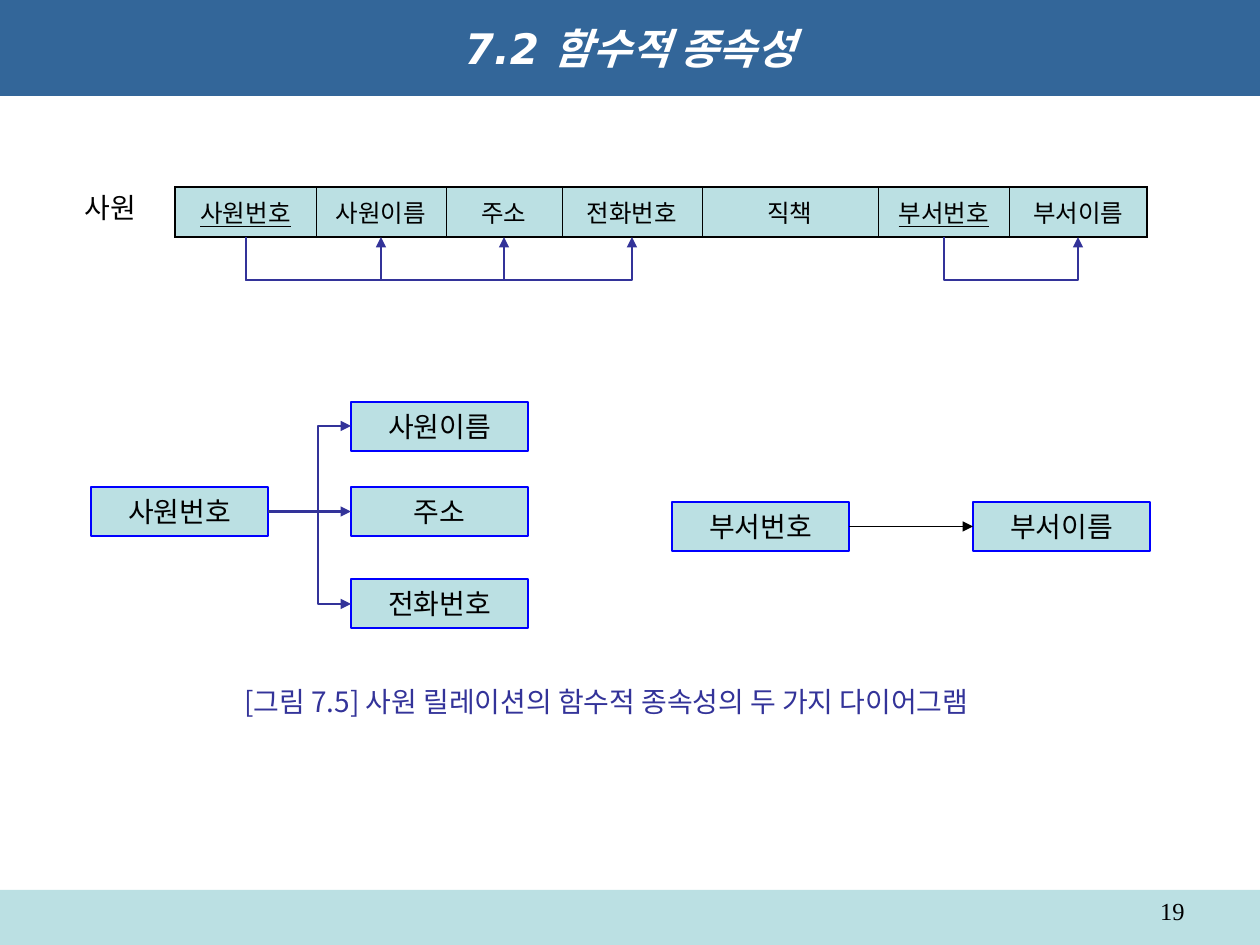
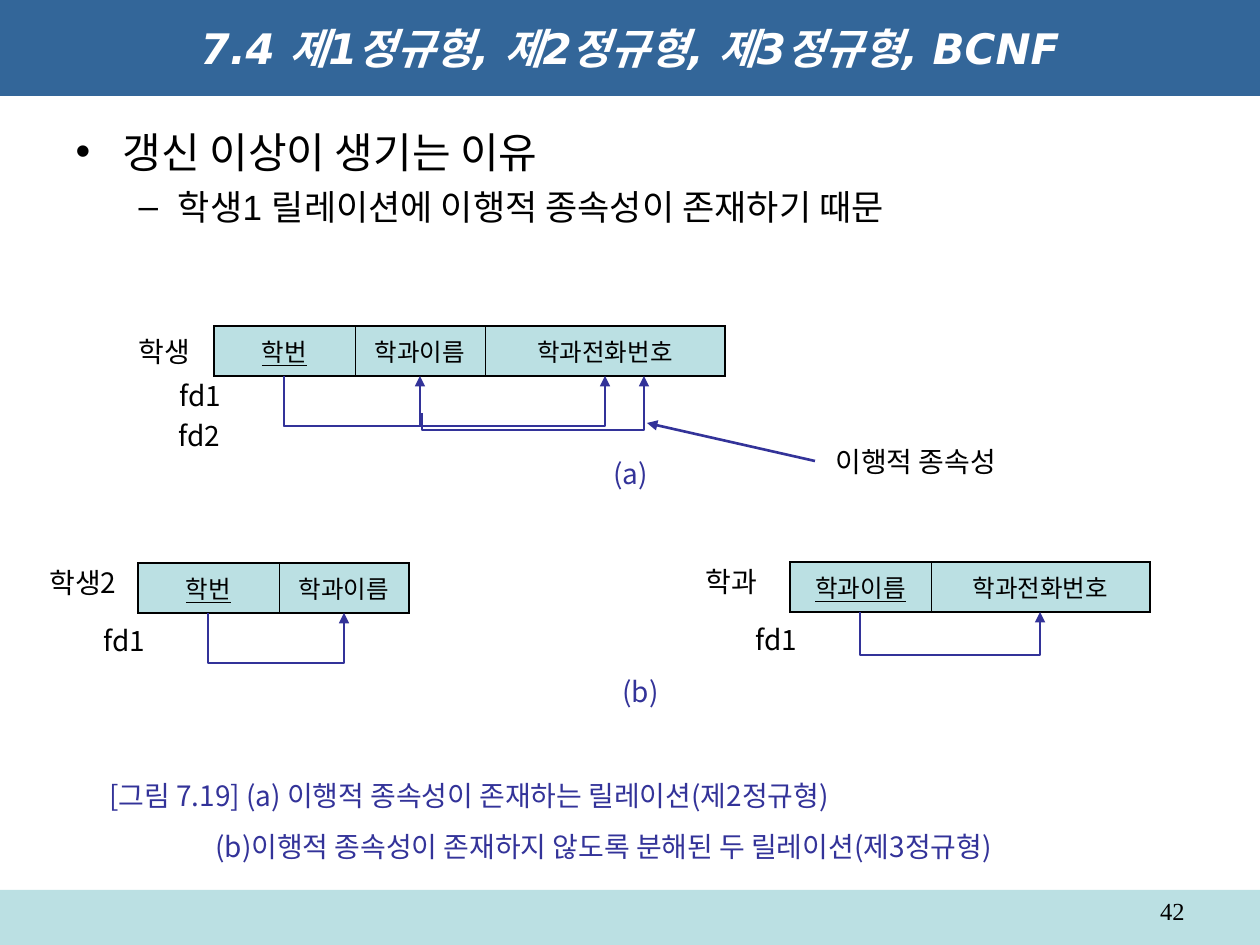
import itertools

import pptx
import pptx.dml.color
import pptx.enum.shapes
import pptx.enum.text
import pptx.oxml
import pptx.oxml.ns
import pptx.util

RGBColor = pptx.dml.color.RGBColor
ALIGN = pptx.enum.text.PP_ALIGN
ANCHOR = pptx.enum.text.MSO_ANCHOR
RECTANGLE = pptx.enum.shapes.MSO_SHAPE.RECTANGLE
STRAIGHT = pptx.enum.shapes.MSO_CONNECTOR.STRAIGHT

TITLE_BLUE = RGBColor(0x33, 0x66, 0x99)
PALE_TEAL = RGBColor(0xBB, 0xE0, 0xE3)
NODE_BLUE = RGBColor(0x00, 0x00, 0xFF)
ARROW_BLUE = RGBColor(0x33, 0x33, 0x99)
BLACK = RGBColor(0, 0, 0)
WHITE = RGBColor(0xFF, 0xFF, 0xFF)

LABEL_FONT = "Noto Sans CJK JP"
CAPTION_FONT = "Noto Sans CJK KR"

EMU_PER_PX = 914400 / 126
SLIDE_WIDTH, SLIDE_HEIGHT = 1260, 945
TITLE_HEIGHT = 96
FOOTER_TOP = 890
LABEL_HEIGHT = 47
ROW_HEIGHT = 50
NODE_WIDTH, NODE_HEIGHT = 177, 49
OUTER_BORDER, INNER_BORDER = 1.08, 0.45


def px(length):
    return pptx.util.Emu(round(length * EMU_PER_PX))


def box(left, top, width, height):
    return px(left), px(top), px(width), px(height)


def set_font(paragraph, name, size, color=BLACK):
    font = paragraph.font
    font.name = name
    font.size = pptx.util.Pt(size)
    font.color.rgb = color
    return font


def add_text(slide, lines, left, top, width, height=LABEL_HEIGHT,
             name=LABEL_FONT, color=BLACK):
    """Add a text box with one paragraph per line, centred vertically."""
    frame = slide.shapes.add_textbox(*box(left, top, width, height)).text_frame
    frame.word_wrap = True
    frame.vertical_anchor = ANCHOR.MIDDLE
    frame.text = "\n".join(lines)
    for index, paragraph in enumerate(frame.paragraphs):
        if index:
            paragraph.space_before = pptx.util.Pt(10)
        set_font(paragraph, name, 16, color)
    return frame


def add_caption(slide, lines, left, top, width, height=LABEL_HEIGHT):
    return add_text(slide, lines, left, top, width, height,
                    CAPTION_FONT, ARROW_BLUE)


def style_arrow(shape, color=ARROW_BLUE, width=1.5, ends=("tailEnd",)):
    shape.line.color.rgb = color
    shape.line.width = pptx.util.Pt(width)
    line = shape.element.spPr.get_or_add_ln()
    for end in ends:
        pptx.oxml.ns.qn("a:" + end)
        line.append(pptx.oxml.parse_xml(
            f'<a:{end} {pptx.oxml.ns.nsdecls("a")} type="triangle"/>'))


def add_bent_arrow(slide, points, ends=("tailEnd",)):
    builder = slide.shapes.build_freeform(*points[0], scale=EMU_PER_PX)
    builder.add_line_segments(points[1:], close=False)
    arrow = builder.convert_to_shape()
    arrow.fill.background()
    arrow.shadow.inherit = False
    style_arrow(arrow, ends=ends)


def add_straight_arrow(slide, start=(0, 0), end=(0, 0), nodes=None,
                       color=ARROW_BLUE, width=1.5):
    """Draw from start to end, or from the first node to the second."""
    arrow = slide.shapes.add_connector(
        STRAIGHT, *(px(value) for value in (*start, *end)))
    if nodes:
        arrow.begin_connect(nodes[0], 3)
        arrow.end_connect(nodes[1], 1)
    style_arrow(arrow, color, width)
    arrow.element.spPr.append(pptx.oxml.parse_xml(
        f'<a:effectLst {pptx.oxml.ns.nsdecls("a")}/>'))


def set_border(cell, side, width):
    properties = cell._tc.get_or_add_tcPr()
    properties.append(pptx.oxml.parse_xml(
        f'<a:ln{side} {pptx.oxml.ns.nsdecls("a")} w="{pptx.util.Pt(width)}">'
        f'<a:solidFill><a:srgbClr val="{BLACK}"/></a:solidFill></a:ln{side}>'))


def add_relation(slide, left, top, columns, keys, labels):
    """Draw a one-row relation and its labels; return column centres."""
    names, widths = zip(*columns)
    table = slide.shapes.add_table(
        1, len(columns), *box(left, top, sum(widths), ROW_HEIGHT)).table
    table.first_row = table.horz_banding = False
    table.rows[0].height = px(ROW_HEIGHT)
    last = len(columns) - 1
    for index, (name, width) in enumerate(columns):
        table.columns[index].width = px(width)
        cell = table.cell(0, index)
        set_border(cell, "L", INNER_BORDER if index else OUTER_BORDER)
        set_border(cell, "R", INNER_BORDER if index < last else OUTER_BORDER)
        set_border(cell, "T", OUTER_BORDER)
        set_border(cell, "B", OUTER_BORDER)
        cell.fill.solid()
        cell.fill.fore_color.rgb = PALE_TEAL
        cell.vertical_anchor = ANCHOR.MIDDLE
        cell.text = name
        paragraph = cell.text_frame.paragraphs[0]
        paragraph.alignment = ALIGN.CENTER
        set_font(paragraph, "Arial", 14).underline = index in keys
    for text, dx, dy in labels:
        add_text(slide, [text], left + dx, top + dy, 105)
    edges = itertools.accumulate(widths, initial=left)
    return [edge + width / 2 for edge, width in zip(edges, widths)]


def add_dependencies(slide, source, targets, top, drop):
    """Lead an arrow below the relation from the source to each target."""
    for target in targets:
        add_bent_arrow(slide, [(source, top), (source, top + drop),
                               (target, top + drop), (target, top)])


def add_node(slide, text, left, top):
    node = slide.shapes.add_shape(
        RECTANGLE, *box(left, top, NODE_WIDTH, NODE_HEIGHT))
    node.shadow.inherit = False
    node.fill.solid()
    node.fill.fore_color.rgb = PALE_TEAL
    node.line.color.rgb = NODE_BLUE
    node.line.width = pptx.util.Pt(1.5)
    frame = node.text_frame
    frame.vertical_anchor = ANCHOR.MIDDLE
    frame.text = text
    frame.paragraphs[0].alignment = ALIGN.CENTER
    set_font(frame.paragraphs[0], LABEL_FONT, 16)
    return node


def add_framed_slide(presentation, layout, title, number):
    """Add a slide with its title band and page number."""
    slide = presentation.slides.add_slide(presentation.slide_layouts[layout])
    heading = slide.shapes.title
    heading.left, heading.top, heading.width, heading.height = box(
        0, 0, SLIDE_WIDTH, TITLE_HEIGHT)
    heading.fill.solid()
    heading.fill.fore_color.rgb = TITLE_BLUE
    heading.text_frame.text = title
    heading.text_frame.vertical_anchor = ANCHOR.MIDDLE
    paragraph = heading.text_frame.paragraphs[0]
    paragraph.alignment = ALIGN.CENTER
    font = set_font(paragraph, "DejaVu Sans", 24, WHITE)
    font.bold = font.italic = True

    frame = slide.shapes.add_textbox(*box(903, FOOTER_TOP, 294, 36)).text_frame
    frame.word_wrap = True
    frame.text = str(number)
    frame.paragraphs[0].alignment = ALIGN.RIGHT
    set_font(frame.paragraphs[0], "Times New Roman", 14)
    return slide


def move_footer_band_to_master(presentation, slide):
    band = slide.shapes.add_shape(
        RECTANGLE, *box(0, FOOTER_TOP, SLIDE_WIDTH, SLIDE_HEIGHT - FOOTER_TOP))
    band.shadow.inherit = False
    band.fill.solid()
    band.fill.fore_color.rgb = PALE_TEAL
    band.line.fill.background()
    band.element.xpath("p:nvSpPr/p:cNvPr")[0].set("id", "100")
    presentation.slide_master.shapes.element.insert(2, band.element)


def add_dependency_graph(slide, left, top):
    """Link the employee number to the three attributes it determines."""
    source = add_node(slide, "사원번호", left, top + 85)
    names = {"사원이름": 0, "주소": 85, "전화번호": 177}
    targets = [add_node(slide, name, left + 260, top + dy)
               for name, dy in names.items()]
    add_straight_arrow(slide, nodes=(source, targets[1]))
    upper, lower = (top + dy + NODE_HEIGHT / 2 for dy in (0, 177))
    add_bent_arrow(slide, [(left + 260, upper), (left + 227, upper),
                           (left + 227, lower), (left + 260, lower)],
                   ends=("headEnd", "tailEnd"))


def build_dependency_slide(presentation):
    slide = add_framed_slide(presentation, 5, "7.2 함수적 종속성", 19)
    top = 187
    columns = [("사원번호", 141), ("사원이름", 130), ("주소", 116),
               ("전화번호", 140), ("직책", 176), ("부서번호", 132),
               ("부서이름", 137)]
    centres = add_relation(slide, 175, top, columns, (0, 5),
                           [("사원", -103, -3)])
    bottom = top + ROW_HEIGHT
    add_dependencies(slide, centres[0], centres[1:4], bottom, 43)
    add_dependencies(slide, centres[5], centres[6:], bottom, 43)

    add_dependency_graph(slide, 91, 402)
    department = [add_node(slide, name, left, 502)
                  for name, left in (("부서번호", 672), ("부서이름", 973))]
    add_straight_arrow(slide, nodes=department, color=BLACK, width=1)
    add_caption(
        slide, ["[그림 7.5] 사원 릴레이션의 함수적 종속성의 두 가지 다이어그램"],
        232, 678, 830)
    return slide


def fill_body(slide, lines):
    body = slide.placeholders[1]
    body.left, body.top, body.width, body.height = box(63, 120, 1134, 750)
    body.text_frame.text = "\n".join(lines)
    for level, paragraph in enumerate(body.text_frame.paragraphs):
        paragraph.level = level
        paragraph.space_before = pptx.util.Pt(5 * level)
        set_font(paragraph, "Arial", 24 - 4 * level)


def build_normal_form_slide(presentation):
    slide = add_framed_slide(
        presentation, 1, "7.4 제1정규형, 제2정규형, 제3정규형, BCNF", 42)
    fill_body(slide, ["갱신 이상이 생기는 이유",
                      "학생1 릴레이션에 이행적 종속성이 존재하기 때문"])

    number, department = ("학번", 141), ("학과이름", 130)
    centres = add_relation(
        slide, 214, 326, [number, department, ("학과전화번호", 240)], (0,),
        [("학생", -88, 2), ("fd1", -47, 46), ("fd2", -48, 86)])
    bottom = 326 + ROW_HEIGHT
    add_dependencies(slide, centres[0], centres[1:], bottom, 50)
    add_bent_arrow(slide, [(422, 413), (422, 430), (644, 430), (644, bottom)])
    add_straight_arrow(slide, (815, 461), (647, 423))
    add_text(slide, ["이행적 종속성"], 823, 438, 205, name=CAPTION_FONT)
    add_caption(slide, ["(a)"], 601, 450, 70)

    centres = add_relation(slide, 138, 563, [number, department], (0,),
                           [("학생2", -101, -4), ("fd1", -47, 54)])
    add_dependencies(slide, centres[0], centres[1:], 563 + ROW_HEIGHT, 50)
    centres = add_relation(
        slide, 790, 562, [("학과이름", 141), ("학과전화번호", 219)], (0,),
        [("학과", -97, -4), ("fd1", -47, 54)])
    add_dependencies(slide, centres[0], centres[1:], 562 + ROW_HEIGHT, 43)
    add_caption(slide, ["(b)"], 610, 668, 70)

    caption = add_caption(
        slide, ["[그림 7.19] (a) 이행적 종속성이 존재하는 릴레이션(제2정규형)",
                "(b)이행적 종속성이 존재하지 않도록 분해된 두 릴레이션(제3정규형)"],
        97, 772, 1013, 97)
    caption.paragraphs[1]._p.get_or_add_pPr().set("marL", str(px(106)))


def main():
    presentation = pptx.Presentation()
    presentation.slide_width = px(SLIDE_WIDTH)
    presentation.slide_height = px(SLIDE_HEIGHT)
    first_slide = build_dependency_slide(presentation)
    move_footer_band_to_master(presentation, first_slide)
    build_normal_form_slide(presentation)
    presentation.save("out.pptx")


if __name__ == "__main__":
    main()
